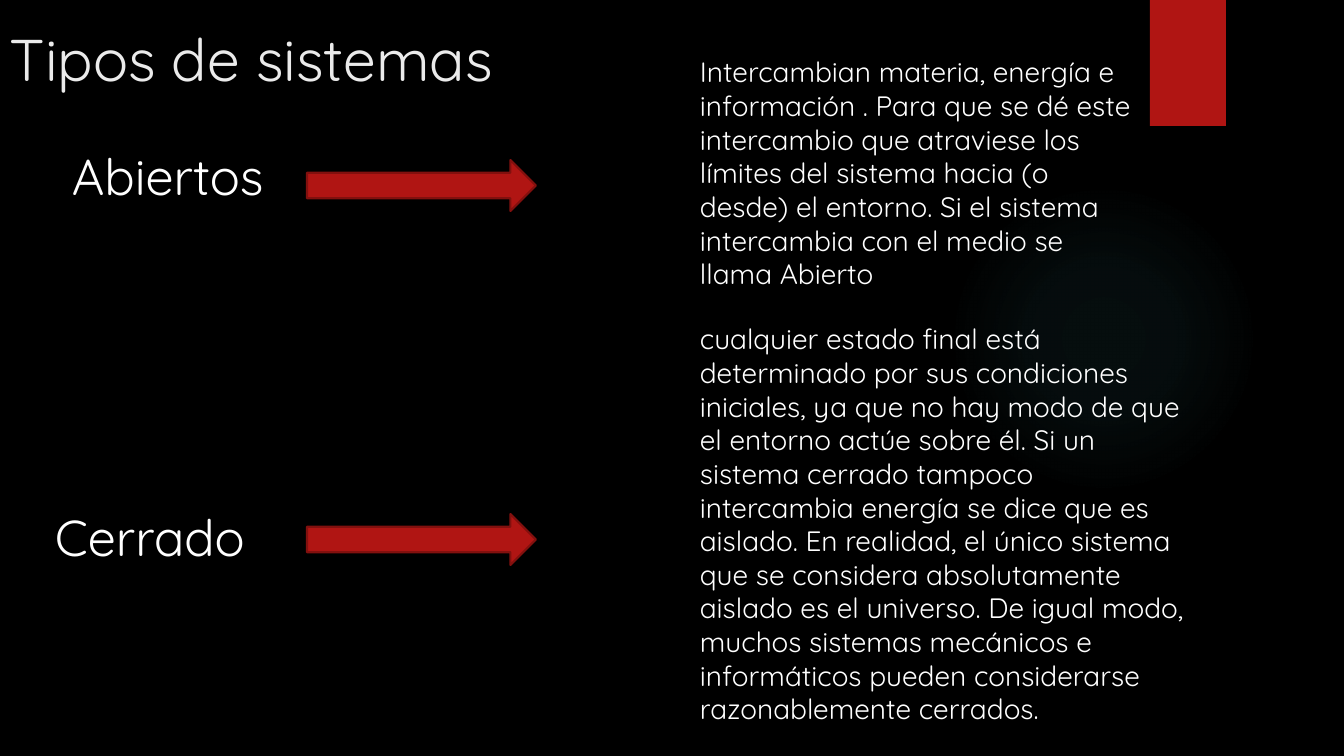
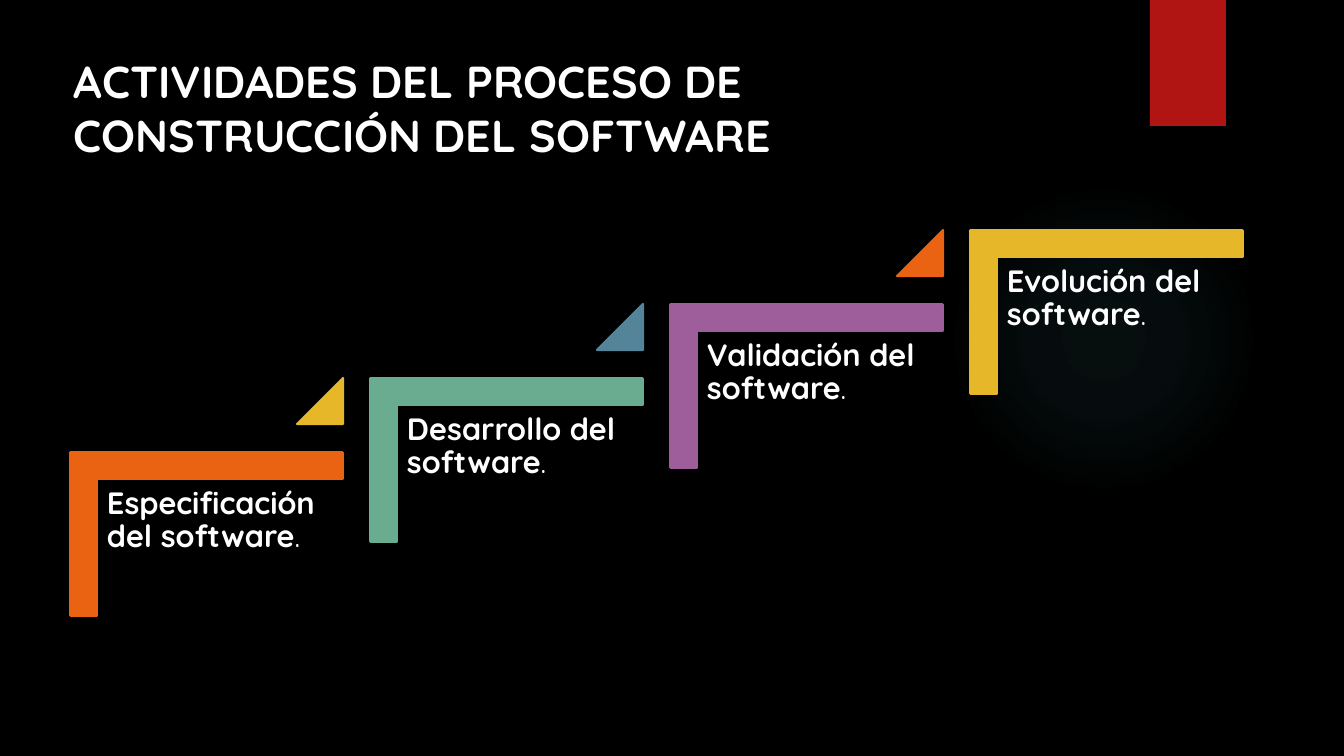
"""Build two slides on system types and the activities of software construction."""
import pptx
import pptx.dml.color
import pptx.enum.shapes
import pptx.oxml
import pptx.oxml.ns
import pptx.util

RGB = pptx.dml.color.RGBColor
SHAPE = pptx.enum.shapes.MSO_SHAPE
PX = 914400 / 100.8
FONT = "Quicksand"
BLACK = RGB(0x00, 0x00, 0x00)
WHITE = RGB(0xFF, 0xFF, 0xFF)
TITLE_GREY = RGB(0xEB, 0xEB, 0xEB)
RED = RGB(0xB0, 0x15, 0x13)
DARK_RED = RGB(0x82, 0x10, 0x0E)
TEAL = RGB(0x50, 0xB9, 0xC1)
ORANGE = RGB(0xEA, 0x63, 0x12)
GREEN = RGB(0x6A, 0xAC, 0x90)
PURPLE = RGB(0x9E, 0x5E, 0x9B)
YELLOW = RGB(0xE6, 0xB7, 0x29)
BLUE = RGB(0x54, 0x84, 0x9A)


def add_shape(s, kind, box, fill, line=None):
    sp = s.shapes.add_shape(kind, *[round(v * PX) for v in box])
    sp.shadow.inherit = False
    sp.fill.solid()
    sp.fill.fore_color.rgb = fill
    if line is None:
        sp.line.fill.background()
    else:
        sp.line.color.rgb = line
        sp.line.width = pptx.util.Pt(1.5)
    return sp


def add_text(s, box, text, size, color=WHITE, bold=False):
    tf = s.shapes.add_textbox(*[round(v * PX) for v in box]).text_frame
    tf.word_wrap = True
    tf.text = text
    font = tf.paragraphs[0].runs[0].font
    font.name = FONT
    font.size = pptx.util.Pt(size)
    font.color.rgb = color
    font.bold = bold
    return tf


prs = pptx.Presentation()
prs.slide_width = round(1344 * PX)
prs.slide_height = round(756 * PX)
background = prs.slide_master.background.fill
background.solid()
background.fore_color.rgb = BLACK

stops = "".join(
    f'<a:gs pos="{pos}000"><a:srgbClr val="{TEAL}"><a:alpha val="{alpha}000"/></a:srgbClr></a:gs>'
    for pos, alpha in [(0, 7), (36, 6), (69, 0), (100, 0)])
glow_xml = (
    f'<a:gradFill {pptx.oxml.ns.nsdecls("a")}><a:gsLst>{stops}</a:gsLst><a:path path="circle">'
    '<a:fillToRect l="50000" t="50000" r="50000" b="50000"/></a:path></a:gradFill>')

slides = []
for _ in range(2):
    s = prs.slides.add_slide(prs.slide_layouts[6])
    glow = add_shape(s, SHAPE.OVAL, (949, 184, 310, 310), TEAL)
    solid = glow.element.spPr.find(pptx.oxml.ns.qn("a:solidFill"))
    solid.getparent().replace(solid, pptx.oxml.parse_xml(glow_xml))
    add_shape(s, SHAPE.RECTANGLE, (1150, 0, 76, 126), RED)
    slides.append(s)
types_slide, steps_slide = slides

add_text(types_slide, (0, 18, 1037, 91), "Tipos de sistemas", 42, TITLE_GREY)
system_types = [
    ("Abiertos", (62, 140, 283, 72), 160, (690, 50, 453, 248),
     "Intercambian materia, energía e información . Para que se dé este intercambio que "
     "atraviese los límites del sistema hacia (o desde) el entorno. Si el sistema "
     "intercambia con el medio se llama Abierto"),
    ("Cerrado", (45, 501, 283, 72), 514, (690, 317, 506, 439),
     "cualquier estado final está determinado por sus condiciones iniciales, ya que no hay "
     "modo de que el entorno actúe sobre él. Si un sistema cerrado tampoco intercambia "
     "energía se dice que es aislado. En realidad, el único sistema que se considera "
     "absolutamente aislado es el universo. De igual modo, muchos sistemas mecánicos e "
     "informáticos pueden considerarse razonablemente cerrados."),
]
for name, name_box, arrow_top, description_box, description in system_types:
    add_text(types_slide, name_box, name, 36)
    add_shape(types_slide, SHAPE.RIGHT_ARROW, (307, arrow_top, 229, 51), RED, DARK_RED)
    add_text(types_slide, description_box, description, 20)

add_text(steps_slide, (64, 49, 723, 119),
         "ACTIVIDADES DEL PROCESO DE CONSTRUCCIÓN DEL SOFTWARE", 32, bold=True)
steps = [
    ("Especificación del software", ORANGE, YELLOW),
    ("Desarrollo del software", GREEN, BLUE),
    ("Validación del software", PURPLE, ORANGE),
    ("Evolución del software", YELLOW, None),
]
for i, (label, color, triangle_color) in enumerate(steps):
    dx, dy = 300 * i, -74 * i
    corner = add_shape(steps_slide, SHAPE.CORNER, (125 + dx, 398 + dy, 163, 272), color, color)
    corner.rotation = 90
    corner.adjustments[0] = corner.adjustments[1] = 0.16
    tf = add_text(steps_slide, (98 + dx, 479 + dy, 245, 215), label, 22, bold=True)
    tf.margin_left = tf.margin_top = tf.margin_right = tf.margin_bottom = round(9 * PX)
    p = tf.paragraphs[0]
    p.line_spacing = 0.9
    r = p.add_run()
    r.text = "."
    r.font.name = FONT
    r.font.size = pptx.util.Pt(22)
    r.font.color.rgb = WHITE
    if triangle_color is not None:
        triangle = add_shape(steps_slide, SHAPE.ISOSCELES_TRIANGLE,
                             (297 + dx, 378 + dy, 46, 46), triangle_color, triangle_color)
        triangle.adjustments[0] = 1

prs.save("out.pptx")
